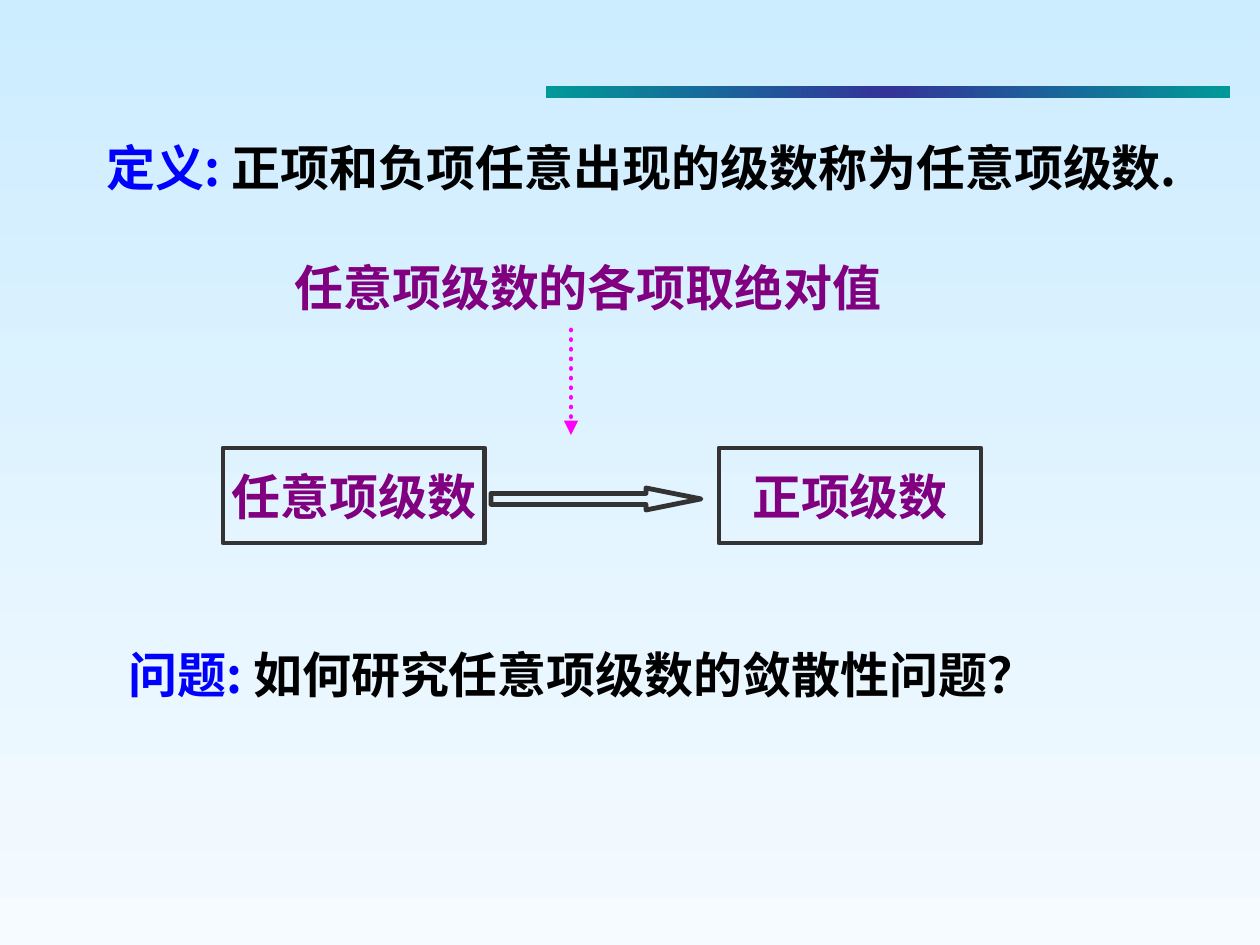
from pptx import Presentation
from pptx.dml.color import RGBColor
from pptx.enum.dml import MSO_LINE
from pptx.enum.shapes import MSO_CONNECTOR, MSO_SHAPE
from pptx.enum.text import MSO_ANCHOR, PP_ALIGN
from pptx.oxml.ns import qn
from pptx.util import Pt
from lxml import etree

RECTANGLE, RIGHT_ARROW = MSO_SHAPE.RECTANGLE, MSO_SHAPE.RIGHT_ARROW
STRAIGHT, ROUND_DOT = MSO_CONNECTOR.STRAIGHT, MSO_LINE.ROUND_DOT
LEFT, CENTER = PP_ALIGN.LEFT, PP_ALIGN.CENTER
TOP, MIDDLE = MSO_ANCHOR.TOP, MSO_ANCHOR.MIDDLE

PX = 914400 // 126
LINE_WIDTH = Pt(2.75)
BLUE, BLACK, PURPLE = "0000FF", "000000", "800080"
DARK, MAGENTA = "333333", "FF00FF"
CJK_FONT, LATIN_FONT = "Noto Sans CJK SC", "Times New Roman"

BACKGROUND_STOPS = [(0, "CCECFF"), (100, "F5FBFF")]
BAR_STOPS = [(0, "009999"), (50, "333399"), (100, "009999")]
STATEMENTS = [
    ((94, 131, 1144, 72), [("定义: ", BLUE), ("正项和负项任意出现的级数称为任意项级数.", BLACK)]),
    ((282, 251, 630, 72), [("任意项级数的各项取绝对值", PURPLE)]),
    ((116, 638, 1144, 72), [("问题: ", BLUE), ("如何研究任意项级数的敛散性问题？", BLACK)]),
]
BOX_LABELS = ["任意项级数", "正项级数"]
BOX_LEFT, BOX_TOP, BOX_WIDTH, BOX_HEIGHT, BOX_PITCH = 223, 448, 262, 95, 496


def color(value):
    return RGBColor.from_string(value)


def px(*values):
    return [value * PX for value in values]


def set_gradient(fill, element, stops, angle):
    fill.gradient()
    fill.gradient_angle = angle
    stop_list = element.find(".//" + qn("a:gsLst"))
    for old_stop in list(stop_list):
        stop_list.remove(old_stop)
    for position, value in stops:
        stop = etree.SubElement(stop_list, qn("a:gs"), pos=str(position * 1000))
        etree.SubElement(stop, qn("a:srgbClr"), val=value)


def write_text(shape, runs, font=CJK_FONT, align=LEFT, anchor=TOP, wrap=True):
    frame = shape.text_frame
    frame.word_wrap = wrap
    frame.vertical_anchor = anchor
    paragraph = frame.paragraphs[0]
    paragraph.alignment = align
    for text, value in runs:
        run = paragraph.add_run()
        run.text = text
        run.font.size = Pt(28)
        run.font.bold = True
        run.font.name = font
        run.font.color.rgb = color(value)
        east_asian = etree.SubElement(run.font._element, qn("a:ea"))
        east_asian.set("typeface", CJK_FONT)


def add_outline(slide, preset, area):
    shape = slide.shapes.add_shape(preset, *px(*area))
    shape.shadow.inherit = False
    shape.fill.background()
    shape.line.color.rgb = color(DARK)
    shape.line.width = LINE_WIDTH
    return shape


def add_dotted_arrow(slide, start, end):
    connector = slide.shapes.add_connector(STRAIGHT, *px(*start, *end))
    connector.line.color.rgb = color(MAGENTA)
    connector.line.width = LINE_WIDTH
    connector.line.dash_style = ROUND_DOT
    line = connector.line._get_or_add_ln()
    line.set("cap", "rnd")
    etree.SubElement(line, qn("a:tailEnd"), type="triangle")
    etree.SubElement(connector._element.spPr, qn("a:effectLst"))


def main():
    presentation = Presentation()
    presentation.slide_width, presentation.slide_height = px(1260, 945)
    slide = presentation.slides.add_slide(presentation.slide_layouts[6])
    set_gradient(slide.background.fill, slide.element, BACKGROUND_STOPS, 270)

    bar = slide.shapes.add_shape(RECTANGLE, *px(546, 86, 684, 12))
    bar.shadow.inherit = False
    bar.line.fill.background()
    set_gradient(bar.fill, bar.element, BAR_STOPS, 0)

    arrow = add_outline(slide, RIGHT_ARROW, (491, 488, 210, 22))
    arrow.adjustments[0] = 0.5
    arrow.adjustments[1] = 2.5
    for index, label in enumerate(BOX_LABELS):
        area = (BOX_LEFT + index * BOX_PITCH, BOX_TOP, BOX_WIDTH, BOX_HEIGHT)
        box = add_outline(slide, RECTANGLE, area)
        write_text(box, [(label, PURPLE)], font=LATIN_FONT, align=CENTER,
                   anchor=MIDDLE, wrap=False)

    for area, runs in STATEMENTS:
        write_text(slide.shapes.add_textbox(*px(*area)), runs)
    add_dotted_arrow(slide, (571, 330), (571, 435))
    presentation.save("out.pptx")


if __name__ == "__main__":
    main()
